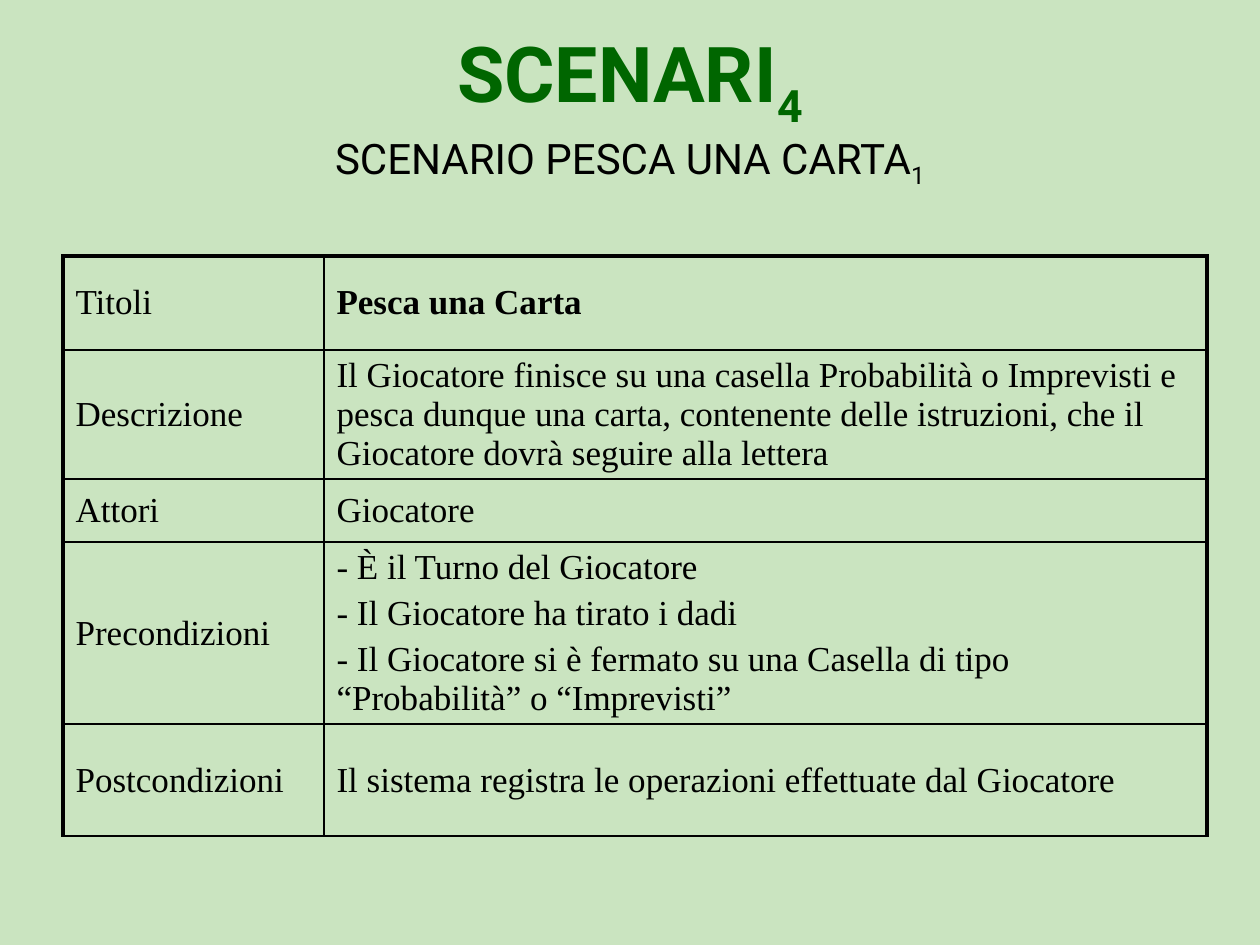
from lxml import etree
from pptx import Presentation
from pptx import util as u
from pptx.dml.color import RGBColor
from pptx.enum import text
from pptx.oxml.ns import qn

PX = 914400 / 126
COLORS = {"background": "CAE4C0", "title": "006600", "ink": "000000"}
THICK, THIN = 2.25, 1

COLUMN_WIDTHS = [261, 883]
ROW_HEIGHTS = [94, 129, 63, 182, 112]
SCENARIO = [
    ("Titoli", "Pesca una Carta"),
    ("Descrizione", "Il Giocatore finisce su una casella Probabilità o Imprevisti e "
                    "pesca dunque una carta, contenente delle istruzioni, che il "
                    "Giocatore dovrà seguire alla lettera"),
    ("Attori", "Giocatore"),
    ("Precondizioni", "- È il Turno del Giocatore\n"
                      "- Il Giocatore ha tirato i dadi\n"
                      "- Il Giocatore si è fermato su una Casella di tipo "
                      "“Probabilità” o “Imprevisti”"),
    ("Postcondizioni", "Il sistema registra le operazioni effettuate dal Giocatore"),
]


def px(n):
    return u.Emu(round(n * PX))


def rgb(name):
    return RGBColor.from_string(COLORS[name])


def format_font(font, name, size, color, bold=False):
    font.name, font.size, font.bold = name, u.Pt(size), bold
    font.color.rgb = rgb(color)


def set_heading(sp, box, heading, number, size, color, bold=False):
    """Place a centred heading that ends in a subscript number."""
    sp.left, sp.top, sp.width, sp.height = map(px, box)
    tf = sp.text_frame
    tf.word_wrap = True
    tf.auto_size = text.MSO_AUTO_SIZE.NONE
    p = tf.paragraphs[0]
    p.alignment = text.PP_ALIGN.CENTER
    for part in (heading, number):
        r = p.add_run()
        r.text = part
        format_font(r.font, "Roboto", size, color, bold)
    r.font._element.set("baseline", "-25000")


def set_borders(cell, widths):
    """Draw the cell's sides from a dict of L, R, T, B to points."""
    tc_pr = cell._tc.get_or_add_tcPr()
    for side, width in widths.items():
        ln = etree.SubElement(tc_pr, qn(f"a:ln{side}"), w=str(u.Pt(width)))
        fill = etree.SubElement(ln, qn("a:solidFill"))
        etree.SubElement(fill, qn("a:srgbClr"), val=COLORS["ink"])


def fill_cell(cell, content, bold):
    cell.fill.background()
    cell.vertical_anchor = text.MSO_ANCHOR.MIDDLE
    cell.text_frame.text = content
    for i, p in enumerate(cell.text_frame.paragraphs):
        if i:
            p.space_before = u.Pt(4)
        for r in p.runs:
            format_font(r.font, "Times New Roman", 20, "ink", bold)


def add_scenario_table(s):
    frame = s.shapes.add_table(len(SCENARIO), len(COLUMN_WIDTHS), px(63), px(256),
                               px(sum(COLUMN_WIDTHS)), px(sum(ROW_HEIGHTS)))
    table = frame.table
    table.first_row = table.horz_banding = False
    for column, width in zip(table.columns, COLUMN_WIDTHS):
        column.width = px(width)
    for row, height in zip(table.rows, ROW_HEIGHTS):
        row.height = px(height)
    for i, contents in enumerate(SCENARIO):
        for j, content in enumerate(contents):
            cell = table.cell(i, j)
            set_borders(cell, {"L": THIN if j else THICK, "R": THICK if j else THIN,
                               "T": THIN if i else THICK, "B": THIN})
            fill_cell(cell, content, bold=(i == 0 and j == 1))


def main():
    prs = Presentation()
    prs.slide_width, prs.slide_height = px(1260), px(945)
    s = prs.slides.add_slide(prs.slide_layouts[5])
    s.background.fill.solid()
    s.background.fill.fore_color.rgb = rgb("background")

    title = s.shapes.title
    set_heading(title, (0, 31, 1260, 95), "SCENARI", "4", 44, "title", bold=True)
    title.text_frame.vertical_anchor = text.MSO_ANCHOR.MIDDLE
    subtitle = s.shapes.add_textbox(0, 0, 0, 0)
    set_heading(subtitle, (0, 126, 1260, 73), "SCENARIO PESCA UNA CARTA", "1", 24, "ink")
    add_scenario_table(s)
    prs.save("out.pptx")


if __name__ == "__main__":
    main()
